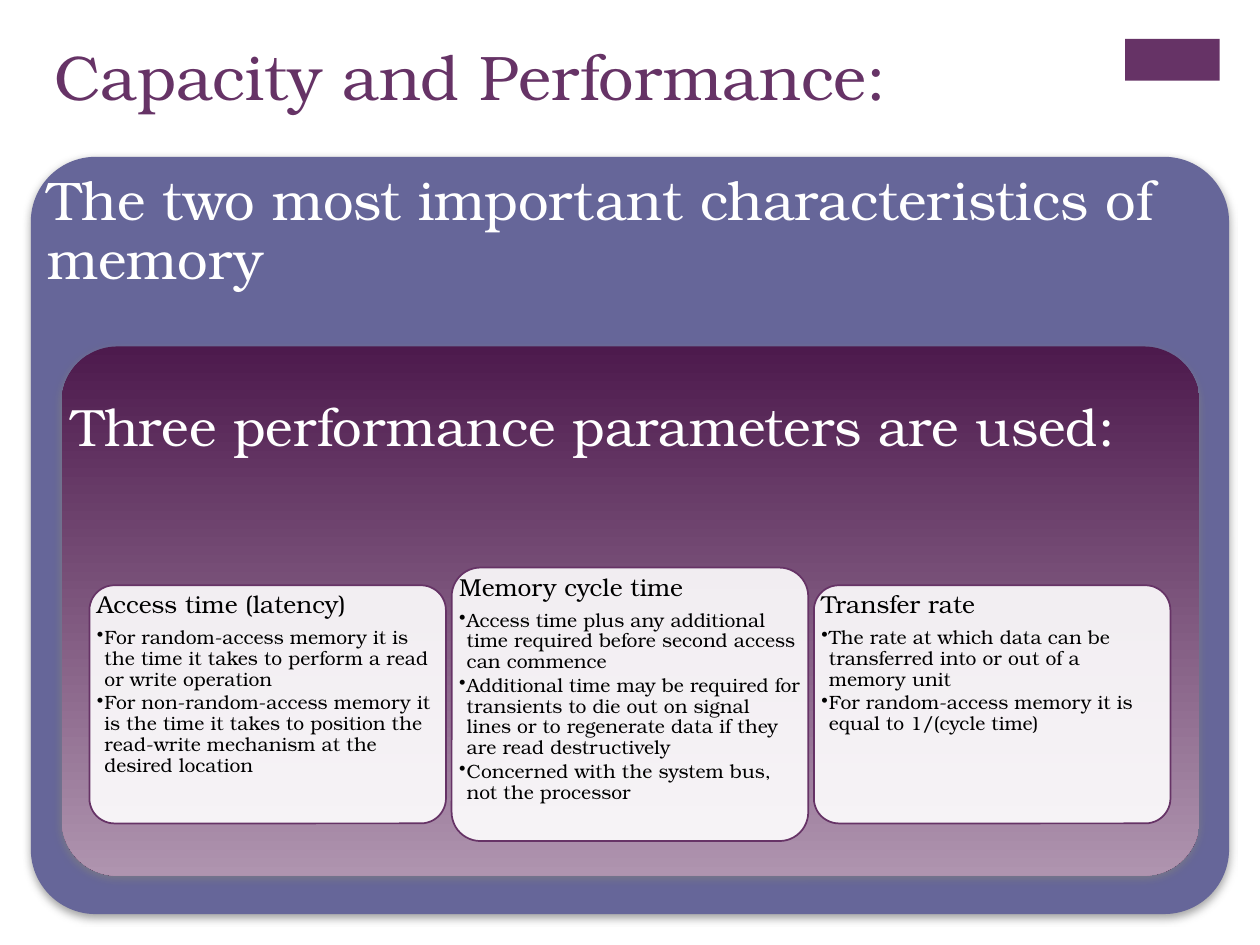
from lxml import etree
from pptx import Presentation
from pptx.dml.color import RGBColor
from pptx.enum import shapes, text as txt
from pptx.oxml import ns
from pptx.util import Inches, Pt

FONT = "TeX Gyre Bonum"
PLUM = RGBColor(0x66, 0x33, 0x66)
DARK = RGBColor(0x4D, 0x1A, 0x4D)
PALE = RGBColor(0xAF, 0x94, 0xAF)
SLATE = RGBColor(0x66, 0x66, 0x99)
WHITE = RGBColor(0xFF, 0xFF, 0xFF)
BLACK = RGBColor(0, 0, 0)
SHADOW = (
    f'<a:effectLst {ns.nsdecls("a")}>'
    '<a:outerShdw blurRad="63500" dist="25400" dir="5400000" rotWithShape="0">'
    '<a:srgbClr val="808080"><a:alpha val="75000"/></a:srgbClr>'
    '</a:outerShdw></a:effectLst>'
)

deck = Presentation()
deck.slide_width, deck.slide_height = Inches(10), Inches(7.5)
slide = deck.slides.add_slide(deck.slide_layouts[5])


def write(para, words, size, color=BLACK, after=0, lines=0.9, bullet=False):
    para.alignment = txt.PP_ALIGN.LEFT
    para.line_spacing = lines
    para.space_before, para.space_after = Pt(0), Pt(after)
    if bullet:
        para.level = 1
        props = para._p.get_or_add_pPr()
        props.set("marL", str(Inches(0.06)))
        props.set("indent", str(-Inches(0.06)))
        etree.SubElement(props, ns.qn("a:buChar")).set("char", "•")
    run = para.add_run()
    run.text = words
    run.font.name, run.font.size = FONT, Pt(size)
    run.font.color.rgb = color


def panel(left, top, width, height, round_, pad, head=None):
    """Add a rounded panel and the text box that lies over it."""
    area = [Inches(n) for n in (left, top, width, height)]
    form = slide.shapes.add_shape(shapes.MSO_SHAPE.ROUNDED_RECTANGLE, *area)
    form.adjustments[0] = round_
    form.shadow.inherit = False
    frame = slide.shapes.add_textbox(*area).text_frame
    frame.word_wrap = True
    frame.vertical_anchor = txt.MSO_ANCHOR.TOP
    frame.margin_left = frame.margin_right = frame.margin_bottom = Inches(pad)
    frame.margin_top = Inches(pad if head is None else head)
    return form, frame


# Corner block
block = slide.shapes.add_shape(
    shapes.MSO_SHAPE.RECTANGLE, Inches(8.93), Inches(0.31), Inches(0.75), Inches(0.33))
block.shadow.inherit = False
block.fill.solid()
block.fill.fore_color.rgb = PLUM
block.line.fill.background()

# Title
title = slide.shapes.title
title.left, title.top = Inches(0.33), Inches(0.25)
title.width, title.height = Inches(8.26), Inches(1.22)
title.text_frame.vertical_anchor = txt.MSO_ANCHOR.TOP
title.text_frame.auto_size = txt.MSO_AUTO_SIZE.NONE
write(title.text_frame.paragraphs[0], "Capacity and Performance:", 36, PLUM, lines=1)

# Outer panel
outer, frame = panel(0.25, 1.25, 9.5, 6, 0.085, 0.13)
outer.fill.solid()
outer.fill.fore_color.rgb = SLATE
outer.line.color.rgb = SLATE
outer.line.width = Pt(0.75)
write(frame.paragraphs[0], "The two most important characteristics of memory", 31, WHITE)

# Inner panel, darker at the top
inner, frame = panel(0.49, 2.75, 9.03, 4.2, 0.105, 0.08, head=0.5)
inner.fill.gradient()
inner.fill.gradient_angle = 270
for stop, color, place in zip(inner.fill.gradient_stops, (DARK, PALE), (0, 1)):
    stop.color.rgb = color
    stop.position = place
inner.line.fill.background()
write(frame.paragraphs[0], "Three performance parameters are used:", 30, WHITE)

# Soft shadow under both panels
for form in (outer, inner):
    props = form._element.spPr
    props.replace(props.find(ns.qn("a:effectLst")), etree.fromstring(SHADOW))

# Three cards, centred on one line
cards = [
    (1.89, "Access time (latency)", [
        "For random-access memory it is the time it takes to perform a read or write operation",
        "For non-random-access memory it is the time it takes to position the "
        "read-write mechanism at the desired location",
    ]),
    (2.17, "Memory cycle time", [
        "Access time plus any additional time required before second access can commence",
        "Additional time may be required for transients to die out on signal lines "
        "or to regenerate data if they are read destructively",
        "Concerned with the system bus, not the processor",
    ]),
    (1.89, "Transfer rate", [
        "The rate at which data can be transferred into or out of a memory unit",
        "For random-access memory it is equal to 1/(cycle time)",
    ]),
]
MID, STEP = 5.59, 2.875
for i, (height, name, points) in enumerate(cards):
    card, frame = panel(0.71 + i * STEP, MID - height / 2, 2.83, height, 0.105, 0.06)
    card.fill.solid()
    card.fill.fore_color.rgb = WHITE
    tint = card._element.spPr.find(ns.qn("a:solidFill"))[0]
    etree.SubElement(tint, ns.qn("a:alpha")).set("val", "90000")
    card.line.color.rgb = PLUM
    card.line.width = Pt(1)
    write(frame.paragraphs[0], name, 14, after=5)
    for point in points:
        write(frame.add_paragraph(), point, 11, after=1.65, bullet=True)

deck.save("out.pptx")
